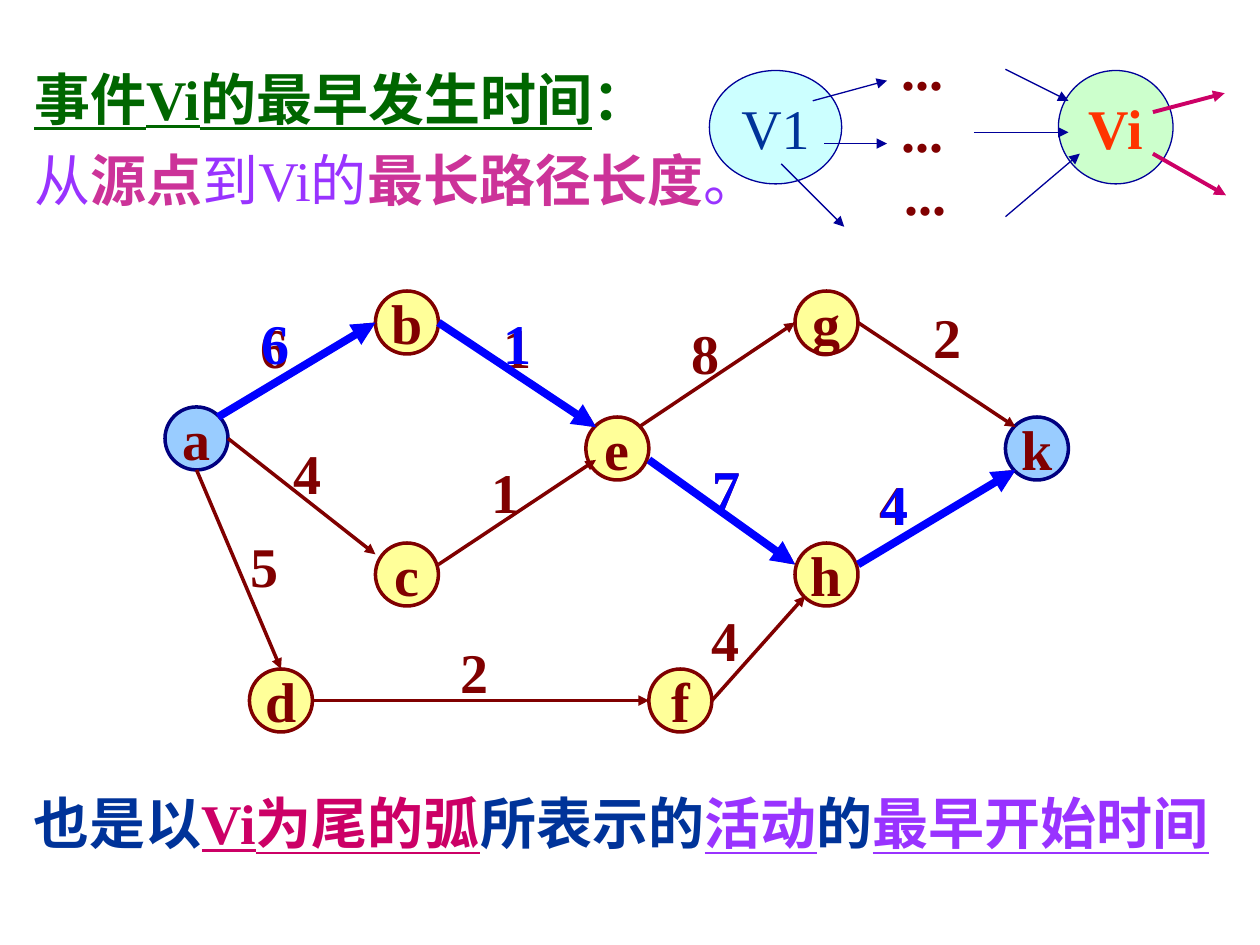
from dataclasses import dataclass

from lxml.etree import SubElement
from pptx import Presentation
from pptx.dml.color import RGBColor
from pptx.enum.shapes import MSO_CONNECTOR as Connector, MSO_SHAPE as Shape
from pptx.enum.text import MSO_ANCHOR as Anchor, MSO_AUTO_SIZE as AutoSize, PP_ALIGN as Align
from pptx.oxml.ns import qn
from pptx.util import Inches, Pt


@dataclass(frozen=True)
class Theme:
    font: str = "Times New Roman"
    size: int = 32
    green: str = "006600"
    violet: str = "9933FF"
    pink: str = "CC3399"
    crimson: str = "CC0066"
    blue: str = "003399"
    navy: str = "000099"
    dark_navy: str = "000080"
    maroon: str = "800000"
    orange: str = "FF3300"
    critical: str = "0000FF"
    sky: str = "99CCFF"
    yellow: str = "FFFF99"
    mint: str = "CCFFCC"
    aqua: str = "CCFFFF"
    thin: float = 0.75
    normal: float = 2
    strong: float = 2.25
    thick: float = 4.5


T = Theme()

# Runs: text, colour, bold, underlined
HEADING = [
    [("事件Vi的最早发生时间", T.green, True, True), ("：", T.green, True, False)],
    [("从", T.violet, False, False), ("源点", T.pink, True, False),
     ("到Vi的", T.violet, False, False), ("最长路径长度", T.pink, True, False),
     ("。", T.violet, False, False)],
]
CONCLUSION = [
    [("也是以", T.blue, True, False), ("Vi为尾的弧", T.crimson, True, True),
     ("所表示的", T.blue, True, False), ("活动", T.violet, True, True),
     ("的", T.blue, True, False), ("最早开始时间", T.violet, True, True)],
]

# Sketch: label, box, fill, text colour, bold
SKETCH_EVENTS = [
    ("Vi", (8.4, 0.56, 0.91, 0.9), T.mint, T.orange, True),
    ("V1", (5.63, 0.56, 1.05, 0.9), T.aqua, T.blue, False),
]
SKETCH_ARROWS = [
    ((6.45, 0.8), (7.04, 0.64)), ((6.54, 1.14), (7.04, 1.14)), ((6.2, 1.3), (6.7, 1.8)),
    ((7.98, 0.55), (8.48, 0.8)), ((7.73, 1.05), (8.48, 1.05)), ((7.98, 1.72), (8.57, 1.22)),
]
OUTGOING_ARROWS = [((9.15, 0.89), (9.72, 0.74)), ((9.15, 1.22), (9.73, 1.55))]
# Ellipses: box, line spacing
DOTS = [((7.06, 0.33, 0.78, 0.53), 0.8), ((7.06, 0.72, 0.78, 0.63), 1.0),
        ((7.08, 1.22, 0.78, 0.63), 1.0)]

# Network: centre of each event
EVENTS = {
    "a": (1.56, 3.48), "b": (3.23, 2.56), "c": (3.23, 4.56), "d": (2.23, 5.56),
    "e": (4.9, 3.56), "f": (5.4, 5.56), "g": (6.56, 2.56), "h": (6.56, 4.56),
    "k": (8.23, 3.56),
}
ENDPOINTS = "ak"
DIAMETER = 0.5

# Attachment points, relative to an event's centre
PORTS = {
    "E": (0.25, 0), "W": (-0.25, 0), "N": (0, -0.25), "S": (0, 0.25),
    "NE": (0.17, -0.17), "NW": (-0.17, -0.17), "SW": (-0.17, 0.17),
    "ENE": (0.25, -0.08), "WNW": (-0.25, -0.08), "ESE": (0.25, 0.09),
    "WSW": (-0.17, 0.09), "corner": (-0.25, -0.16),
}
# Activities: from, port, to, port, duration, label position
ACTIVITIES = [
    ("a", "NE", "b", "W", "6", (1.97, 2.43)),
    ("a", "E", "c", "corner", "4", (2.23, 3.43)),
    ("c", "ENE", "e", "WSW", "1", (3.8, 3.58)),
    ("b", "E", "e", "NW", "1", (3.9, 2.43)),
    ("e", "NE", "g", "W", "8", (5.39, 2.48)),
    ("g", "E", "k", "NW", "2", (7.31, 2.35)),
    ("h", "ENE", "k", "SW", "4", (6.88, 3.68)),
    ("e", "ESE", "h", "WNW", "7", (5.56, 3.56)),
    ("a", "S", "d", "N", "5", (1.89, 4.17)),
    ("d", "E", "f", "W", "2", (3.56, 5.01)),
    ("f", "E", "h", "SW", "4", (5.55, 4.76)),
]
# Activities on the longest path, with the position of the highlighted label
CRITICAL = {"ab": (1.98, 2.4), "be": (3.9, 2.4), "eh": (5.56, 3.56), "hk": (6.89, 3.68)}


def rgb(value):
    return RGBColor.from_string(value)


def write(frame, paragraphs, align=Align.LEFT, spacing=1.0, wrap=True):
    frame.word_wrap = wrap
    for index, runs in enumerate(paragraphs):
        paragraph = frame.add_paragraph() if index else frame.paragraphs[0]
        paragraph.alignment = align
        paragraph.line_spacing = spacing
        paragraph.space_before = Pt(12 if index else 0)
        for text, color, bold, underline in runs:
            run = paragraph.add_run()
            run.text = text
            font = run.font
            font.name, font.size = T.font, Pt(T.size)
            font.bold, font.underline = bold, underline
            font.color.rgb = rgb(color)


def add_text(slide, box, paragraphs, **layout):
    frame = slide.shapes.add_textbox(*map(Inches, box)).text_frame
    write(frame, paragraphs, **layout)
    frame.auto_size = AutoSize.SHAPE_TO_FIT_TEXT


def add_event(slide, label, box, fill, outline, width, color, bold=True):
    event = slide.shapes.add_shape(Shape.OVAL, *map(Inches, box))
    event.shadow.inherit = False
    event.fill.solid()
    event.fill.fore_color.rgb = rgb(fill)
    event.line.color.rgb = rgb(outline)
    event.line.width = Pt(width)
    event.text_frame.vertical_anchor = Anchor.MIDDLE
    write(event.text_frame, [[(label, color, bold, False)]], Align.CENTER, wrap=False)


def add_arrow(slide, start, end, color, width):
    arrow = slide.shapes.add_connector(Connector.STRAIGHT, *map(Inches, (*start, *end)))
    arrow.line.color.rgb = rgb(color)
    arrow.line.width = Pt(width)
    SubElement(arrow.line._get_or_add_ln(), qn("a:tailEnd"), type="triangle")
    SubElement(arrow._element.spPr, qn("a:effectLst"))


def add_duration(slide, duration, position, color):
    add_text(slide, (*position, 0.42, 0.64), [[(duration, color, True, False)]], wrap=False)


def port(event, side):
    return tuple(c + offset for c, offset in zip(EVENTS[event], PORTS[side]))


def add_heading(slide):
    title = slide.shapes.title
    title.left, title.top, title.width, title.height = map(Inches, (0.17, 0.52, 6.24, 1.34))
    write(title.text_frame, HEADING, spacing=0.9)
    title.text_frame.vertical_anchor = Anchor.TOP
    title.text_frame.auto_size = AutoSize.SHAPE_TO_FIT_TEXT


def add_sketch(slide):
    for label, box, fill, color, bold in SKETCH_EVENTS:
        add_event(slide, label, box, fill, T.navy, T.thin, color, bold)
    for start, end in SKETCH_ARROWS:
        add_arrow(slide, start, end, T.navy, T.thin)
    for box, spacing in DOTS:
        add_text(slide, box, [[("...", T.maroon, True, False)]], spacing=spacing)
    for start, end in OUTGOING_ARROWS:
        add_arrow(slide, start, end, T.crimson, T.strong)


def add_network(slide):
    for label, center in EVENTS.items():
        fill, outline = (T.sky, T.dark_navy) if label in ENDPOINTS else (T.yellow, T.maroon)
        box = (*(c - DIAMETER / 2 for c in center), DIAMETER, DIAMETER)
        add_event(slide, label, box, fill, outline, T.normal, T.maroon)
    for source, out, target, into, duration, position in ACTIVITIES:
        add_arrow(slide, port(source, out), port(target, into), T.maroon, T.normal)
        add_duration(slide, duration, position, T.maroon)
    for source, out, target, into, duration, _ in ACTIVITIES:
        if source + target in CRITICAL:
            add_arrow(slide, port(source, out), port(target, into), T.critical, T.thick)
            add_duration(slide, duration, CRITICAL[source + target], T.critical)


def main():
    deck = Presentation()
    deck.slide_width, deck.slide_height = Inches(10), Inches(7.5)
    slide = deck.slides.add_slide(deck.slide_layouts[5])
    add_heading(slide)
    add_sketch(slide)
    add_text(slide, (0.17, 6.21, 9.83, 0.63), CONCLUSION)
    add_network(slide)
    deck.save("out.pptx")


if __name__ == "__main__":
    main()
